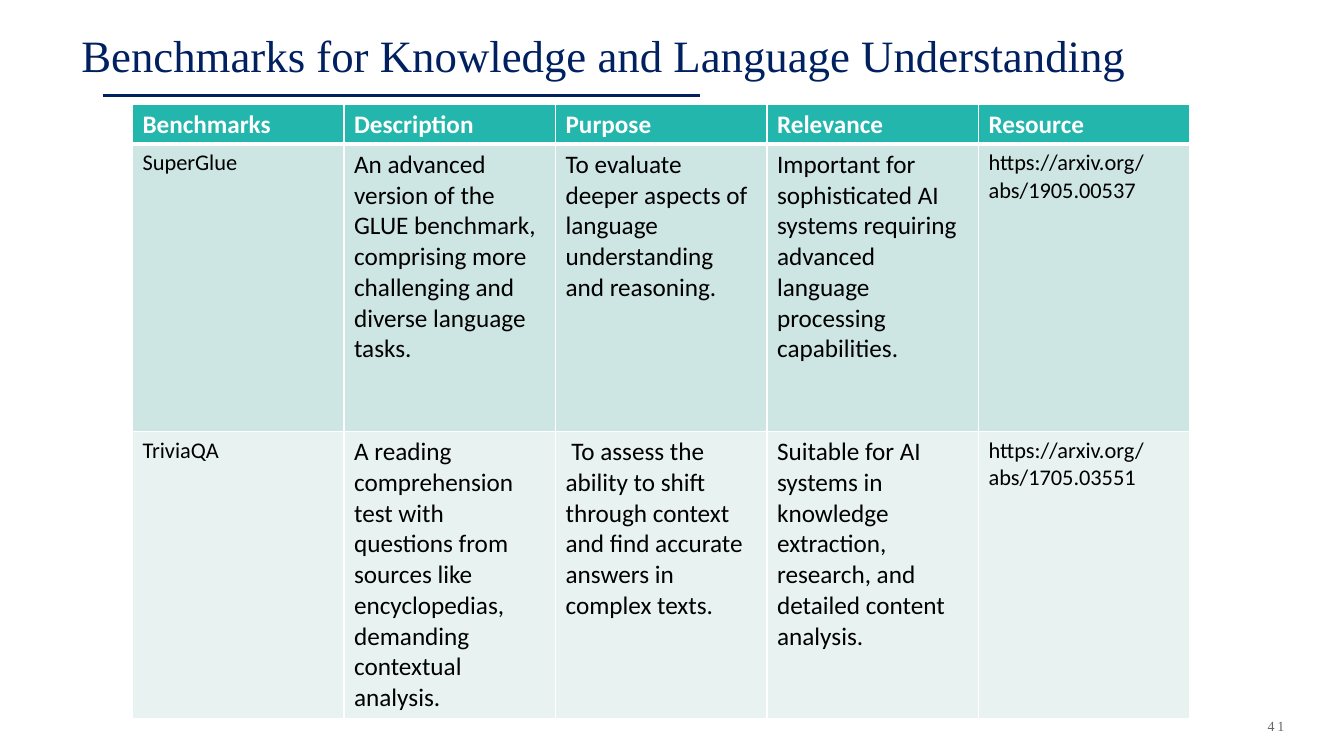
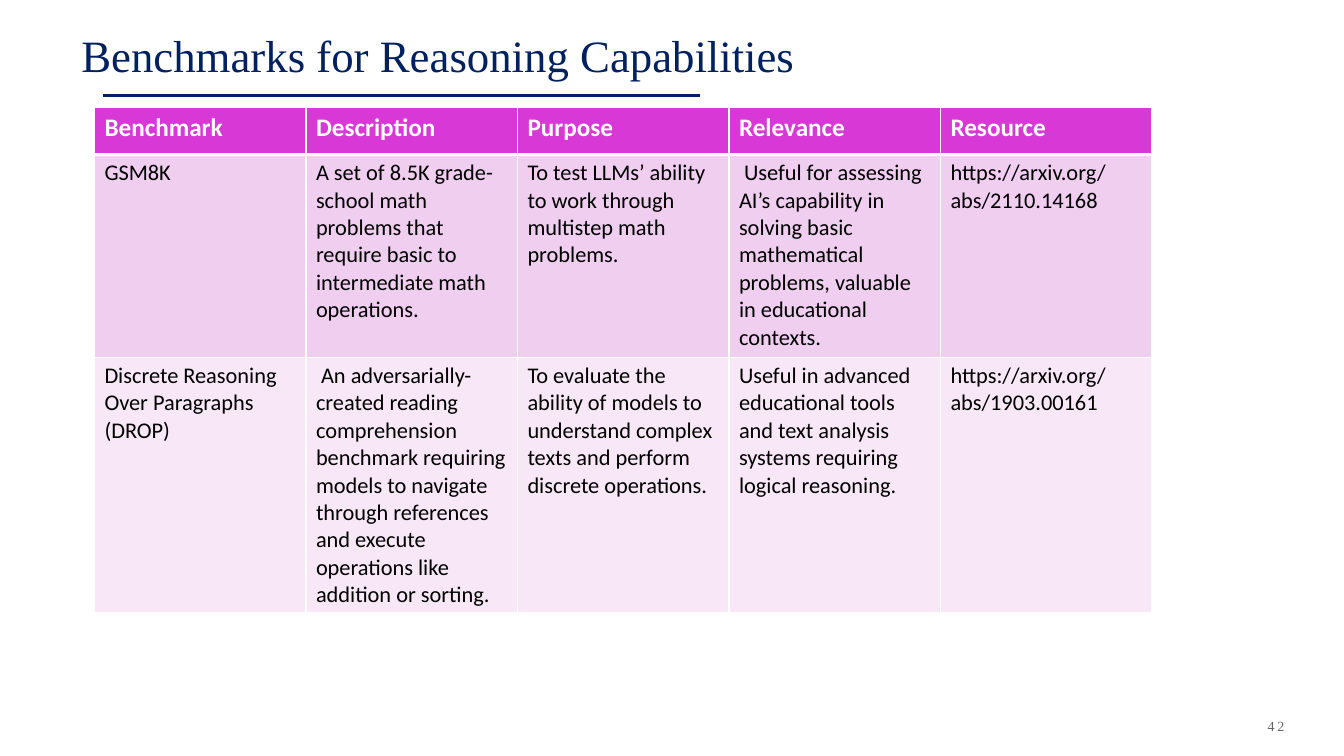
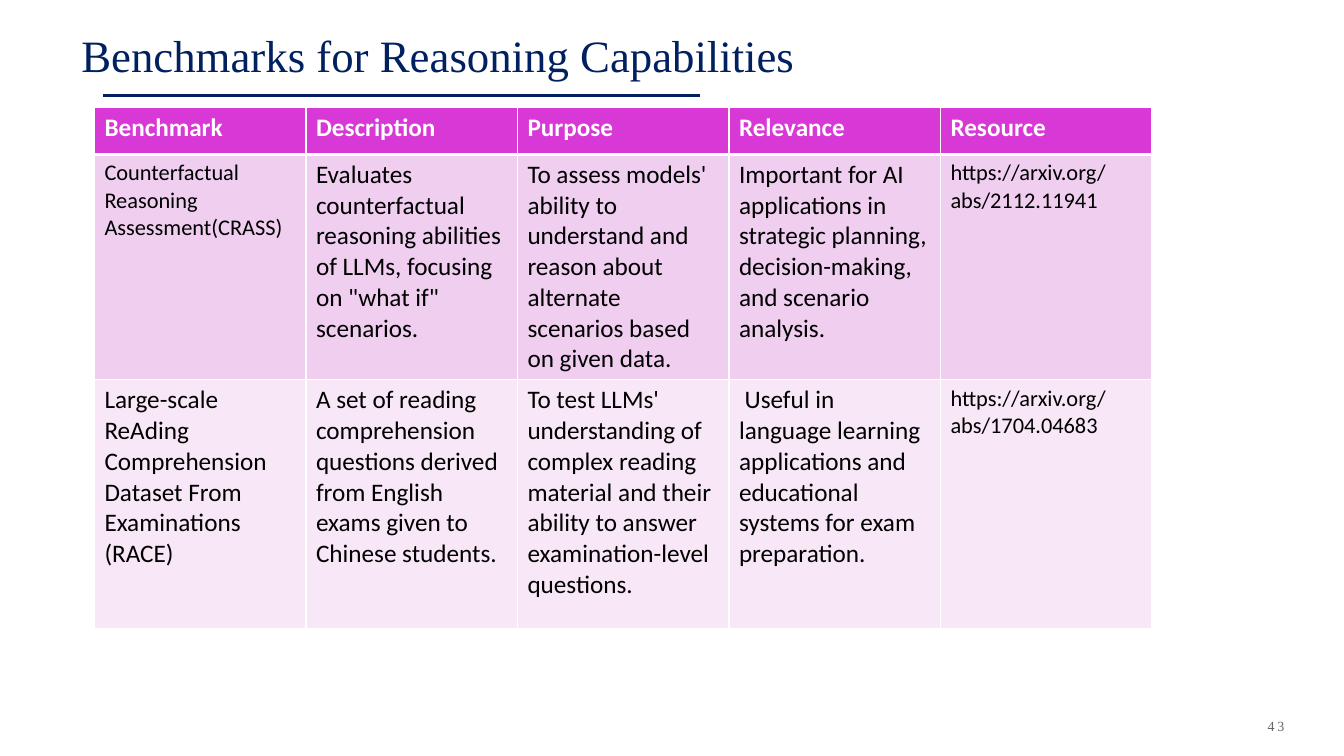
from dataclasses import dataclass

from lxml.etree import SubElement
from pptx import Presentation
from pptx.dml.color import RGBColor
from pptx.enum.shapes import MSO_CONNECTOR
from pptx.enum.text import MSO_ANCHOR, PP_ALIGN
from pptx.oxml.ns import qn
from pptx.util import Cm, Pt

NAVY = "002060"
WHITE = "FFFFFF"
BLACK = "000000"
GREY = "666666"
TEAL = ("23B6AC", "CDE5E3", "E8F3F1")
MAGENTA = ("D838D6", "F0CEF0", "F8E8F7")
SERIF = "Times New Roman"
SANS = "Calibri"
COLUMNS = ("Description", "Purpose", "Relevance", "Resource")
MIXED_SIZES = (16, 18, 18, 18, 16)
SMALL_SIZES = (16,) * 5
LARGE_SIZES = (18, 18, 18, 18, 16)
HEADER_SIZES = (18,) * 5


@dataclass
class Box:
    left: float
    top: float
    width: float
    height: float = 0

    def lengths(self):
        return Cm(self.left), Cm(self.top), Cm(self.width), Cm(self.height)


TITLE_BOX = Box(1.8, -0.46, 31.5, 2.64)
RULE_BOX = Box(2.59, 2.41, 15.06)
NUMBER_BOX = Box(27.74, 17.65, 4.88, 1.27)
KNOWLEDGE_BOX = Box(3.34, 2.62, 26.65)
REASONING_BOX = Box(2.38, 2.7, 26.65)


def colour(value):
    return RGBColor.from_string(value)


def write(frame, text, size, color, font=SERIF, bold=False, align=PP_ALIGN.LEFT, spacing=0):
    frame.word_wrap = True
    para = frame.paragraphs[0]
    para.alignment = align
    span = para.add_run()
    span.text = text
    span.font.name = font
    span.font.size = Pt(size)
    span.font.bold = bold
    span.font.color.rgb = colour(color)
    if spacing:
        span._r.get_or_add_rPr().set("spc", str(spacing * 100))


def add_text(page, box, anchor, text, size, color, **style):
    frame = page.shapes.add_textbox(*box.lengths()).text_frame
    frame.vertical_anchor = anchor
    write(frame, text, size, color, **style)


def add_rule(page, box):
    left, top, width, _ = box.lengths()
    rule = page.shapes.add_connector(MSO_CONNECTOR.STRAIGHT, left, top, left + width, top)
    rule.line.color.rgb = colour(NAVY)
    rule.line.width = Pt(2.5)
    SubElement(rule._element.spPr, qn("a:effectLst"))


def add_borders(cell, top, bottom):
    properties = cell._tc.get_or_add_tcPr()
    for side, points in (("L", 1), ("R", 1), ("T", top), ("B", bottom)):
        line = SubElement(properties, qn(f"a:ln{side}"), w=str(Pt(points)))
        fill = SubElement(line, qn("a:solidFill"))
        SubElement(fill, qn("a:srgbClr"), val=WHITE)


def add_benchmarks(page, box, heights, palette, first_column, rows):
    header = (HEADER_SIZES, (first_column, *COLUMNS))
    left, top, width, _ = box.lengths()
    table = page.shapes.add_table(
        len(heights), len(header[1]), left, top, width, Cm(sum(heights))
    ).table
    table.first_row = table.horz_banding = False
    for column in table.columns:
        column.width = Cm(box.width / len(header[1]))
    for index, (sizes, texts) in enumerate((header, *rows)):
        table.rows[index].height = Cm(heights[index])
        is_header = index == 0
        for cell, size, text in zip(table.rows[index].cells, sizes, texts):
            add_borders(cell, 3 if index == 1 else 1, 3 if is_header else 1)
            cell.fill.solid()
            cell.fill.fore_color.rgb = colour(palette[index])
            write(cell.text_frame, text, size, WHITE if is_header else BLACK,
                  font=SANS, bold=is_header)


def add_page(deck, number, title, *table):
    page = deck.slides.add_slide(deck.slide_layouts[6])
    add_rule(page, RULE_BOX)
    add_text(page, TITLE_BOX, MSO_ANCHOR.BOTTOM, title, 32, NAVY)
    add_text(page, NUMBER_BOX, MSO_ANCHOR.MIDDLE, str(number), 10, GREY,
             align=PP_ALIGN.RIGHT, spacing=2)
    add_benchmarks(page, *table)


KNOWLEDGE_ROWS = (
    (MIXED_SIZES, (
        "SuperGlue",
        "An advanced version of the GLUE benchmark, comprising more challenging and diverse language tasks.",
        "To evaluate deeper aspects of language understanding and reasoning.",
        "Important for sophisticated AI systems requiring advanced language processing capabilities.",
        "https://arxiv.org/abs/1905.00537",
    )),
    (MIXED_SIZES, (
        "TriviaQA",
        "A reading comprehension test with questions from sources like encyclopedias, demanding contextual analysis.",
        " To assess the ability to shift through context and find accurate answers in complex texts.",
        "Suitable for AI systems in knowledge extraction, research, and detailed content analysis.",
        "https://arxiv.org/abs/1705.03551",
    )),
)
MATH_ROWS = (
    (SMALL_SIZES, (
        "GSM8K",
        "A set of 8.5K grade-school math problems that require basic to intermediate math operations.",
        "To test LLMs’ ability to work through multistep math problems.",
        " Useful for assessing AI’s capability in solving basic mathematical problems, valuable in educational contexts.",
        "https://arxiv.org/abs/2110.14168",
    )),
    (SMALL_SIZES, (
        "Discrete Reasoning Over Paragraphs (DROP)",
        " An adversarially-created reading comprehension benchmark requiring models to navigate through references and execute operations like addition or sorting.",
        "To evaluate the ability of models to understand complex texts and perform discrete operations.",
        "Useful in advanced educational tools and text analysis systems requiring logical reasoning.",
        "https://arxiv.org/abs/1903.00161",
    )),
)
READING_ROWS = (
    (MIXED_SIZES, (
        "Counterfactual Reasoning Assessment(CRASS)",
        'Evaluates counterfactual reasoning abilities of LLMs, focusing on "what if" scenarios.',
        "To assess models' ability to understand and reason about alternate scenarios based on given data.",
        "Important for AI applications in strategic planning, decision-making, and scenario analysis.",
        "https://arxiv.org/abs/2112.11941",
    )),
    (LARGE_SIZES, (
        "Large-scale ReAding Comprehension Dataset From Examinations (RACE)",
        "A set of reading comprehension questions derived from English exams given to Chinese students.",
        "To test LLMs' understanding of complex reading material and their ability to answer examination-level questions.",
        " Useful in language learning applications and educational systems for exam preparation.",
        "https://arxiv.org/abs/1704.04683",
    )),
)


def main():
    deck = Presentation()
    deck.slide_width, deck.slide_height = Cm(33.87), Cm(19.05)
    add_page(deck, 41, "Benchmarks for Knowledge and Language Understanding",
             KNOWLEDGE_BOX, (0.94, 7.24, 7.24), TEAL, "Benchmarks", KNOWLEDGE_ROWS)
    reasoning = (
        (42, (1.19, 5.11, 6.43), MATH_ROWS),
        (43, (1.19, 5.68, 6.27), READING_ROWS),
    )
    for number, heights, rows in reasoning:
        add_page(deck, number, "Benchmarks for Reasoning Capabilities",
                 REASONING_BOX, heights, MAGENTA, "Benchmark", rows)
    deck.save("out.pptx")


if __name__ == "__main__":
    main()
